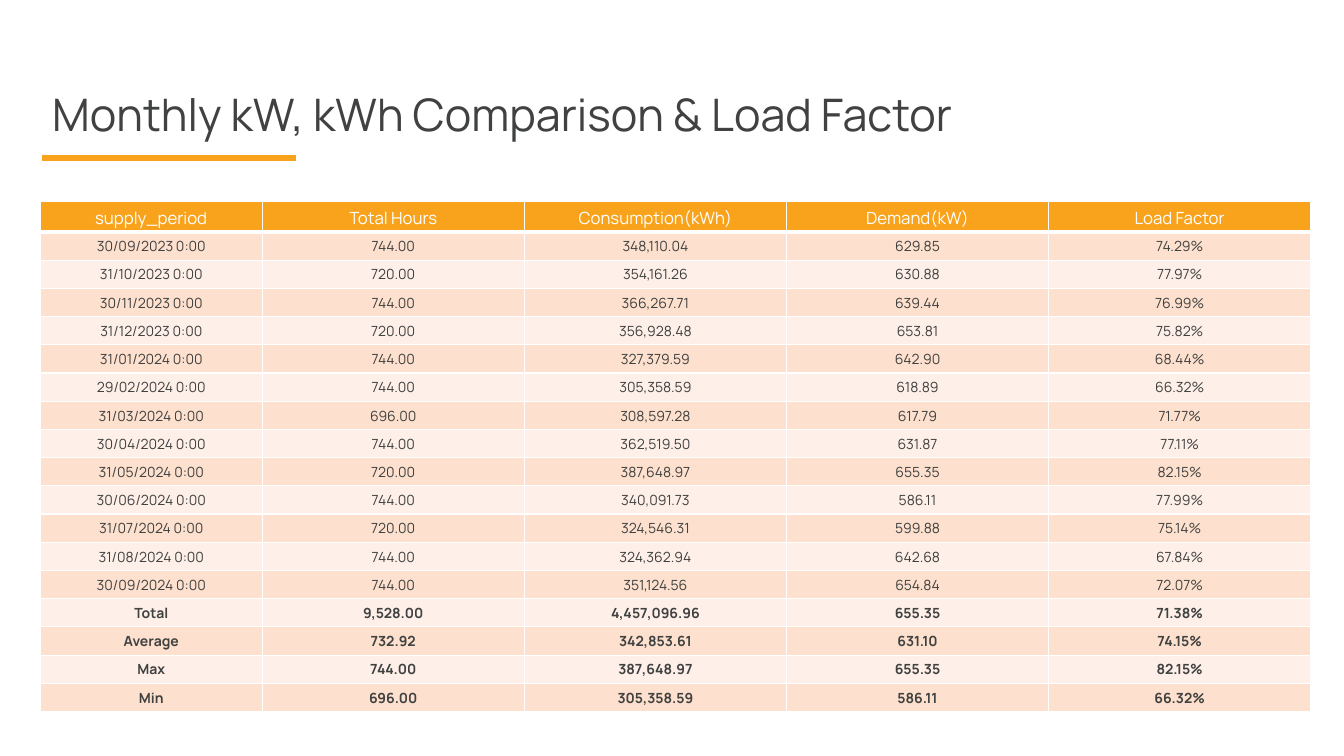
from pptx import Presentation
from pptx.dml.color import RGBColor
from pptx.enum.shapes import MSO_CONNECTOR
from pptx.enum.text import MSO_ANCHOR, PP_ALIGN
from pptx.oxml.ns import qn
from pptx.util import Inches, Pt
from lxml.etree import SubElement

TITLE = "Monthly kW, kWh Comparison & Load Factor"
HEAD = ("supply_period", "Total Hours", "Consumption(kWh)", "Demand(kW)", "Load Factor")
MONTHS = [
    ("30/09/2023 0:00", "744.00", "348,110.04", "629.85", "74.29%"),
    ("31/10/2023 0:00", "720.00", "354,161.26", "630.88", "77.97%"),
    ("30/11/2023 0:00", "744.00", "366,267.71", "639.44", "76.99%"),
    ("31/12/2023 0:00", "720.00", "356,928.48", "653.81", "75.82%"),
    ("31/01/2024 0:00", "744.00", "327,379.59", "642.90", "68.44%"),
    ("29/02/2024 0:00", "744.00", "305,358.59", "618.89", "66.32%"),
    ("31/03/2024 0:00", "696.00", "308,597.28", "617.79", "71.77%"),
    ("30/04/2024 0:00", "744.00", "362,519.50", "631.87", "77.11%"),
    ("31/05/2024 0:00", "720.00", "387,648.97", "655.35", "82.15%"),
    ("30/06/2024 0:00", "744.00", "340,091.73", "586.11", "77.99%"),
    ("31/07/2024 0:00", "720.00", "324,546.31", "599.88", "75.14%"),
    ("31/08/2024 0:00", "744.00", "324,362.94", "642.68", "67.84%"),
    ("30/09/2024 0:00", "744.00", "351,124.56", "654.84", "72.07%"),
]
TOTALS = [
    ("Total", "9,528.00", "4,457,096.96", "655.35", "71.38%"),
    ("Average", "732.92", "342,853.61", "631.10", "74.15%"),
    ("Max", "744.00", "387,648.97", "655.35", "82.15%"),
    ("Min", "696.00", "305,358.59", "586.11", "66.32%"),
]
WIDTHS = (2.2, 2.6, 2.6, 2.6, 2.6)
ROW = 0.28
FONT = "Manrope"
ORANGE, DARK, WHITE = "F9A31C", "404141", "FFFFFF"
BANDS = ("FEF0E8", "FDE0CD")


def paint(color, value):
    color.rgb = RGBColor.from_string(value)


def style(para, size, color, bold=False):
    para.font.name = FONT
    para.font.size = Pt(size)
    para.font.bold = bold
    paint(para.font.color, color)


def border(cell, low):
    props = cell._tc.get_or_add_tcPr()
    for side, width in (("L", 1), ("R", 1), ("T", 1), ("B", low)):
        line = SubElement(props, qn("a:ln" + side), w=str(Pt(width)))
        fill = SubElement(line, qn("a:solidFill"))
        SubElement(fill, qn("a:srgbClr"), val=WHITE)


def add_title(slide):
    box = slide.shapes.add_textbox(Inches(0.42), Inches(0.74), Inches(12.5), Inches(0.84))
    frame = box.text_frame
    frame.word_wrap = True
    frame.vertical_anchor = MSO_ANCHOR.MIDDLE
    para = frame.paragraphs[0]
    para.text = TITLE
    para.line_spacing = 0.9
    style(para, 32, DARK)


def add_rule(slide):
    y = Inches(1.57)
    rule = slide.shapes.add_connector(MSO_CONNECTOR.STRAIGHT, Inches(0.42), y, Inches(2.94), y)
    rule.line.width = Pt(4.5)
    paint(rule.line.color, ORANGE)
    SubElement(rule._element.spPr, qn("a:effectLst"))


def add_grid(slide):
    rows = [HEAD] + MONTHS + TOTALS
    grid = slide.shapes.add_table(
        len(rows), len(HEAD), Inches(0.4), Inches(2),
        Inches(sum(WIDTHS)), Inches(ROW * len(rows))).table
    for col, width in zip(grid.columns, WIDTHS):
        col.width = Inches(width)
    for r, row in enumerate(rows):
        grid.rows[r].height = Inches(ROW)
        top = r == 0
        for c, text in enumerate(row):
            cell = grid.cell(r, c)
            border(cell, 3 if top else 1)
            cell.fill.solid()
            paint(cell.fill.fore_color, ORANGE if top else BANDS[r % 2])
            para = cell.text_frame.paragraphs[0]
            para.text = text
            para.alignment = PP_ALIGN.CENTER
            style(para, 12 if top else 10, WHITE if top else DARK, r > len(MONTHS))


def main():
    deck = Presentation()
    deck.slide_width, deck.slide_height = Inches(13.33), Inches(7.5)
    slide = deck.slides.add_slide(deck.slide_layouts[6])
    add_rule(slide)
    add_title(slide)
    add_grid(slide)
    deck.save("out.pptx")


if __name__ == "__main__":
    main()
